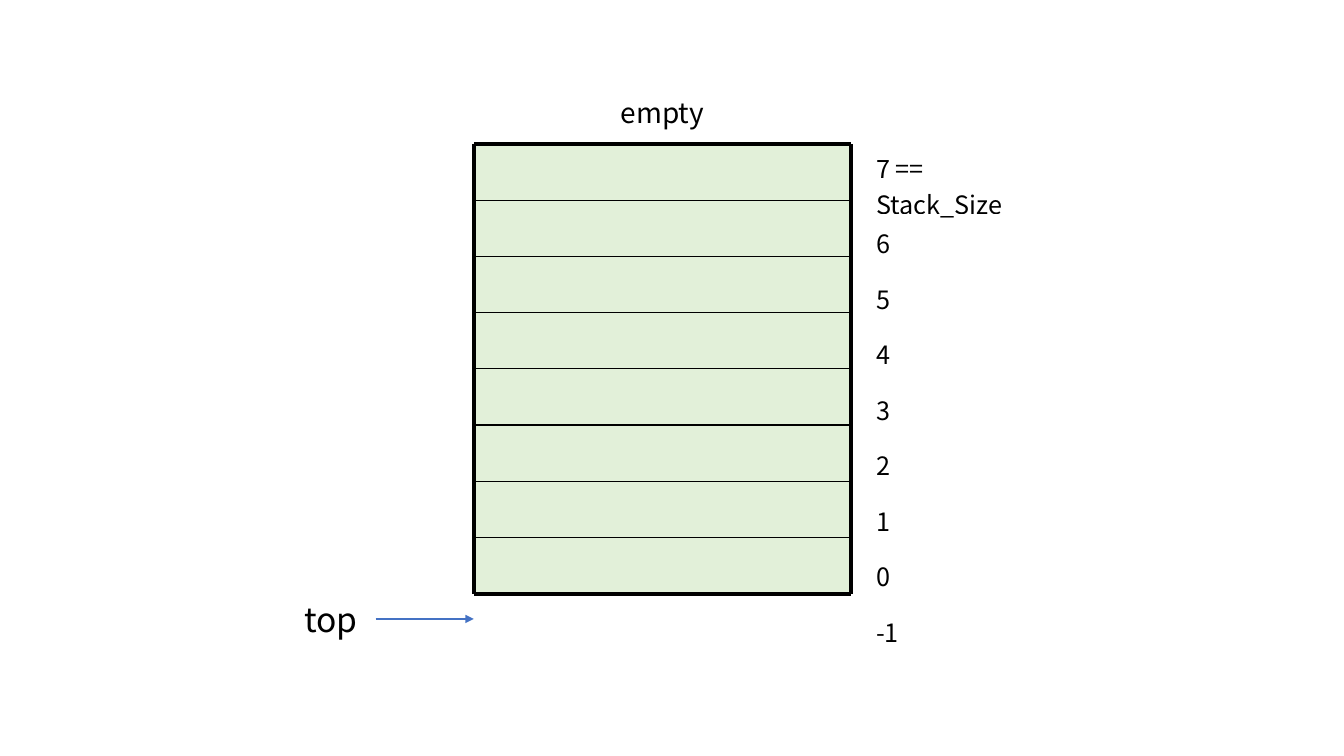
import pptx
import pptx.dml.color
import pptx.enum.shapes
import pptx.enum.text
import pptx.oxml
import pptx.oxml.ns
import pptx.util

Pt = pptx.util.Pt
BLACK = pptx.dml.color.RGBColor(0, 0, 0)
GREEN = pptx.dml.color.RGBColor(0xE2, 0xF0, 0xD9)
BLUE = pptx.dml.color.RGBColor(0x44, 0x72, 0xC4)
FONT = "Noto Sans CJK SC"
SLOTS = 8


def style(para, size):
    """Set the font of a paragraph."""
    para.font.name = FONT
    para.font.size = Pt(size)
    para.font.color.rgb = BLACK


def add_text(slide, text, size, left, top, width, height):
    """Add a centred text box."""
    box = slide.shapes.add_textbox(Pt(left), Pt(top), Pt(width), Pt(height))
    box.text_frame.word_wrap = True
    para = box.text_frame.paragraphs[0]
    para.text = text
    para.alignment = pptx.enum.text.PP_ALIGN.CENTER
    style(para, size)
    return box


def add_line(slide, start, end, color, width):
    """Add a straight line without shadow."""
    line = slide.shapes.add_connector(
        pptx.enum.shapes.MSO_CONNECTOR.STRAIGHT, *map(Pt, start + end))
    line.line.color.rgb = color
    line.line.width = Pt(width)
    pptx.oxml.ns.qn("a:effectLst")
    props = line.line._get_or_add_ln().getparent()
    props.append(pptx.oxml.parse_xml(
        f'<a:effectLst {pptx.oxml.ns.nsdecls("a")}/>'))
    return line


def add_column(slide, rows, left, top, width, height):
    """Add a plain table of one column and return its cells."""
    table = slide.shapes.add_table(
        rows, 1, Pt(left), Pt(top), Pt(width), Pt(height)).table
    table.first_row = False
    table.horz_banding = False
    for row in table.rows:
        row.height = Pt(height / rows)
    return list(table.iter_cells())


def add_border(cell):
    """Give a cell thin black borders."""
    props = cell._tc.get_or_add_tcPr()
    for index, side in enumerate(("lnL", "lnR", "lnT", "lnB")):
        props.insert(index, pptx.oxml.parse_xml(
            f'<a:{side} {pptx.oxml.ns.nsdecls("a")} w="{Pt(1)}">'
            f'<a:solidFill><a:srgbClr val="{BLACK}"/></a:solidFill>'
            f'</a:{side}>'))


def draw_stack(slide, left, top, width, height):
    """Draw the empty slots, their heavy frame and the title."""
    for cell in add_column(slide, SLOTS, left, top, width, height):
        cell.fill.solid()
        cell.fill.fore_color.rgb = GREEN
        add_border(cell)
    right, bottom = left + width, top + height
    corners = [(left, top), (right, top), (right, bottom), (left, bottom)]
    for start, end in zip(corners, corners[1:] + corners[:1]):
        add_line(slide, start, end, BLACK, 3)
    add_text(slide, "empty", 20, left + width / 2 - 59, top - 38, 118, 32)


def draw_labels(slide, left, top, width, height):
    """Draw the slot numbers from the top down to -1."""
    numbers = range(SLOTS - 1, -2, -1)
    cells = add_column(slide, len(numbers), left, top, width, height)
    for number, cell in zip(numbers, cells):
        full = number == SLOTS - 1
        cell.text = f"{number} == Stack_Size" if full else str(number)
        cell.vertical_anchor = pptx.enum.text.MSO_ANCHOR.MIDDLE
        cell.fill.background()
        style(cell.text_frame.paragraphs[0], 18)


def draw_top(slide, left, top, width, height):
    """Draw the top pointer with its arrow to the right edge of the box."""
    label = add_text(slide, "top", 24, left, top, 64, height)
    middle = top + height / 2
    arrow = add_line(
        slide, (left + 64, middle), (left + width, middle), BLUE, 1.5)
    arrow.begin_connect(label, 3)
    arrow.line._get_or_add_ln().append(pptx.oxml.parse_xml(
        f'<a:tailEnd {pptx.oxml.ns.nsdecls("a")} type="triangle"/>'))


def main():
    """Build and save the slide."""
    deck = pptx.Presentation()
    deck.slide_width, deck.slide_height = Pt(960), Pt(540)
    slide = deck.slides.add_slide(deck.slide_layouts[6])
    left, top, width, height = 338.4, 103, 269.3, 321.1
    draw_stack(slide, left, top, width, height)
    draw_labels(slide, left + width + 11, top, 139, 357)
    draw_top(slide, left - 134, top + height, 134, 36)
    deck.save("out.pptx")


if __name__ == "__main__":
    main()
